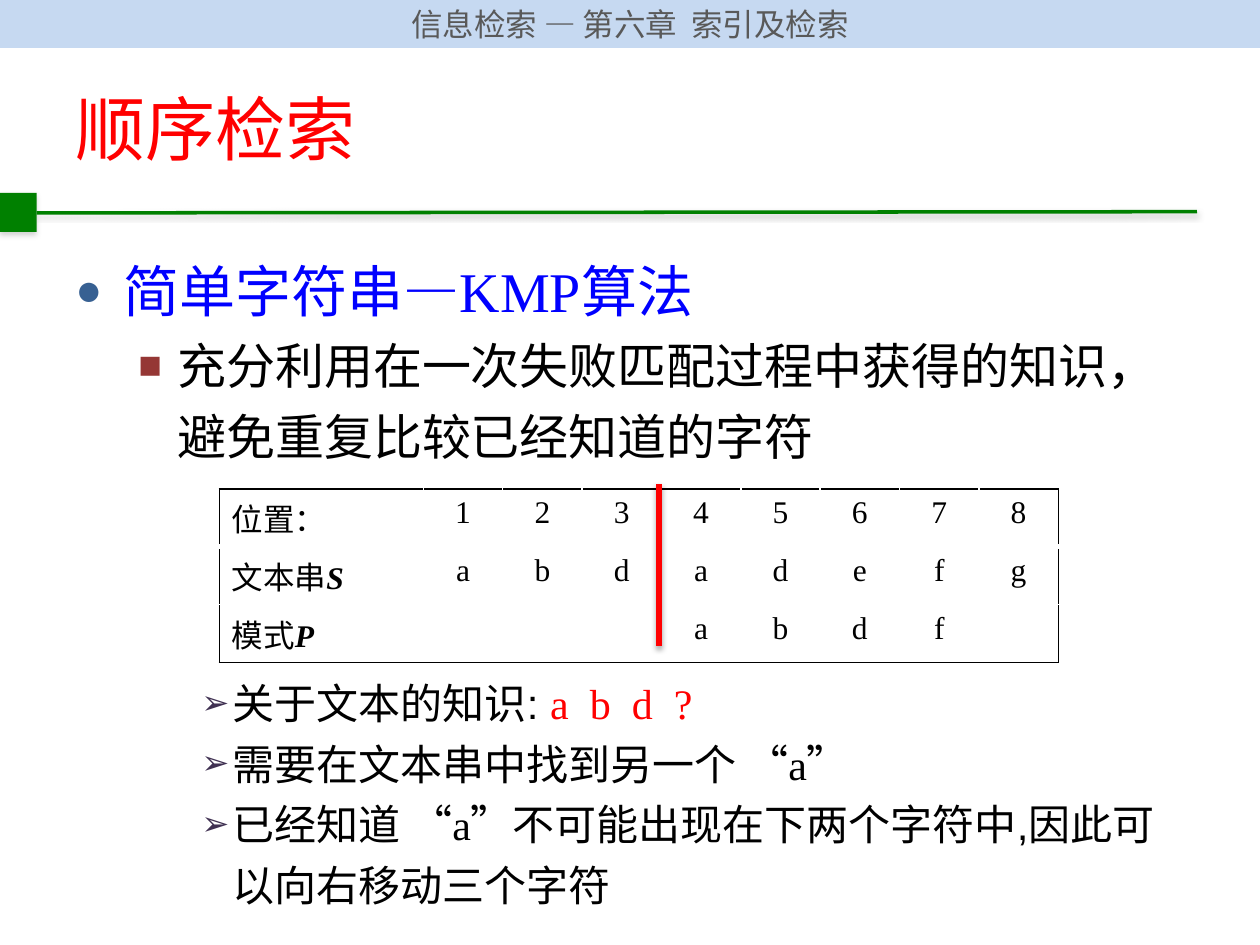
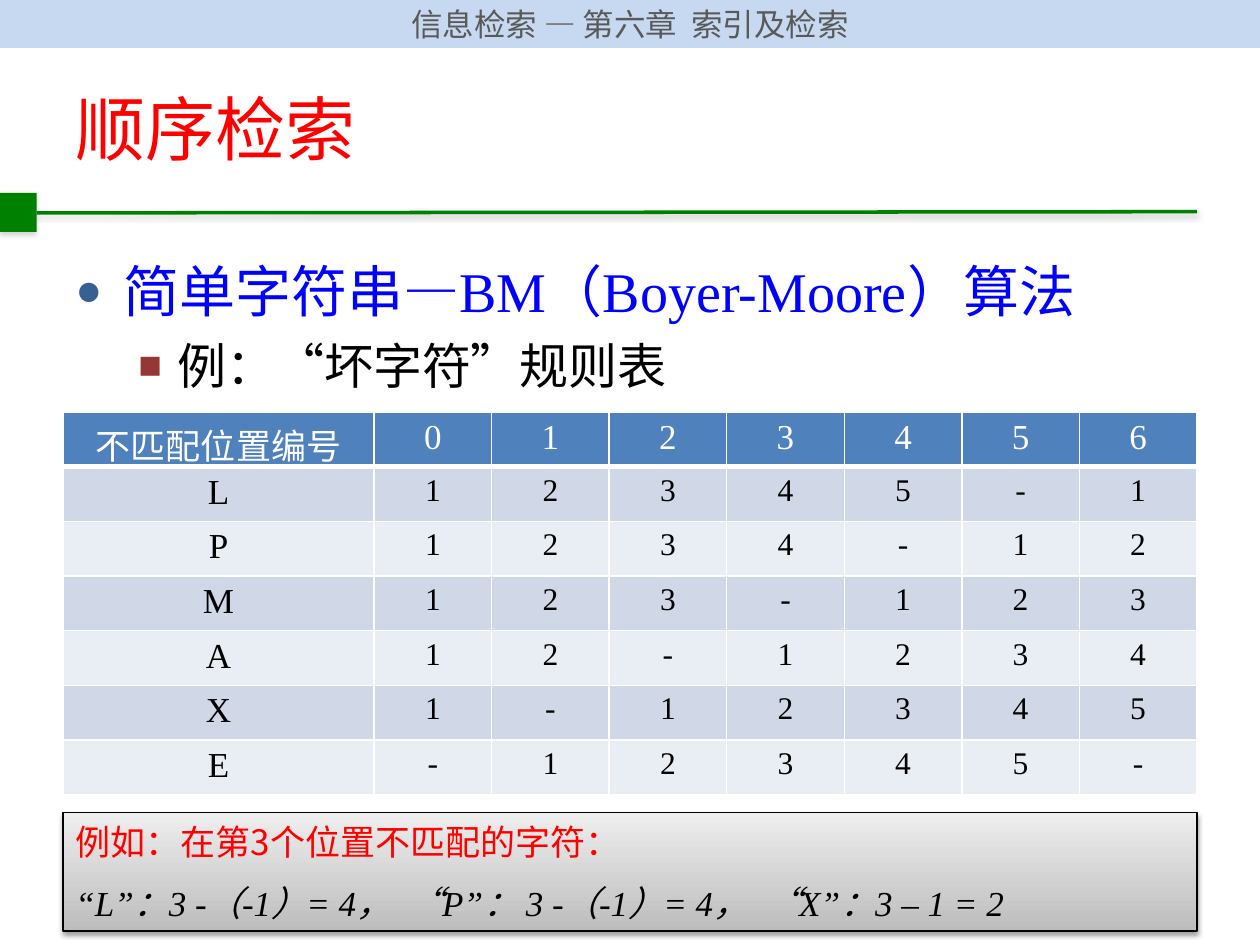
from lxml import etree
from pptx import Presentation
from pptx.dml.color import RGBColor
from pptx.enum.shapes import MSO_CONNECTOR, MSO_SHAPE
from pptx.enum.text import MSO_ANCHOR, PP_ALIGN
from pptx.oxml import parse_xml
from pptx.oxml.ns import qn
from pptx.util import Inches, Pt

RECT, LINE = MSO_SHAPE.RECTANGLE, MSO_CONNECTOR.STRAIGHT
MIDDLE = MSO_ANCHOR.MIDDLE
CENTER, JUST = PP_ALIGN.CENTER, PP_ALIGN.JUSTIFY
NS = 'xmlns:a="http://schemas.openxmlformats.org/drawingml/2006/main"'
CJK, ROMAN, SANS, HEAD = "Noto Sans CJK SC", "Times New Roman", "Arial", "Calibri"

HUES = {
    "band": "C6D9F1", "grey": "595959", "green": "008000", "shade": "808080",
    "red": "FF0000", "blue": "0000FF", "black": "000000", "white": "FFFFFF",
    "dot": "376092", "square": "953735", "arrow": "403152",
    "header": "4F81BD", "odd": "D0D8E8", "even": "E9EDF4",
    "dark": "BDBDBD", "light": "EEEEEE",
}
# level: indent, hanging width, bullet, bullet colour, text size
LEVELS = [
    (0.38, 0.38, "●", "dot", 32),
    (0.81, 0.31, "■", "square", 28),
    (1.25, 0.25, "➢", "arrow", 24),
]


def rgb(hue):
    return RGBColor.from_string(HUES[hue])


def inches(box):
    return [Inches(n) for n in box]


def write(para, text, size, font, hue="black", bold=False, italic=False):
    """Add one run, with Chinese glyphs always in the CJK font."""
    run = para.add_run()
    run.text = text
    face = run.font
    face.size, face.name, face.bold, face.italic = Pt(size), font, bold, italic
    face.color.rgb = rgb(hue)
    east = etree.Element(qn("a:ea"), typeface=CJK)
    run._r.rPr.find(qn("a:latin")).addnext(east)


def cast(shape, hue, alpha, dist=1.6):
    """Give a shape or connector a soft shadow straight below it."""
    props = shape._element.spPr
    for old in props.findall(qn("a:effectLst")):
        props.remove(old)
    props.append(parse_xml(
        f'<a:effectLst {NS}><a:outerShdw blurRad="{Pt(3.1)}" dist="{Pt(dist)}" '
        f'dir="5400000" rotWithShape="0"><a:srgbClr val="{HUES[hue]}">'
        f'<a:alpha val="{alpha}000"/></a:srgbClr></a:outerShdw></a:effectLst>'))


def block(slide, box, hue):
    shape = slide.shapes.add_shape(RECT, *inches(box))
    shape.shadow.inherit = False
    shape.fill.solid()
    shape.fill.fore_color.rgb = rgb(hue)
    shape.line.fill.background()
    return shape


def rule(slide, ends, hue, width, shade):
    line = slide.shapes.add_connector(LINE, *inches(ends))
    line.line.color.rgb = rgb(hue)
    line.line.width = Pt(width)
    cast(line, shade, 38)


def frame(deck, title):
    """Start a slide with the chapter band, title and green rule."""
    slide = deck.slides.add_slide(deck.slide_layouts[5])
    band = block(slide, (0, 0, 10, 0.38), "band")
    band.text_frame.vertical_anchor = MIDDLE
    para = band.text_frame.paragraphs[0]
    para.alignment = CENTER
    write(para, "信息检索 — 第六章  索引及检索", 18, CJK, "grey")
    cast(block(slide, (0, 1.53, 0.29, 0.31), "green"), "shade", 35, 1.8)
    rule(slide, (0.29, 1.69, 9.5, 1.68), "green", 2, "shade")

    head = slide.shapes.title
    head.left, head.top, head.width, head.height = inches((0.5, 0.56, 9, 0.91))
    head.text_frame.vertical_anchor = MIDDLE
    para = head.text_frame.paragraphs[0]
    para.alignment = JUST
    write(para, title, 40, CJK, "red")
    return slide


def outline(slide, box, items):
    """Place bulleted items, each a level and its (text, font, hue) runs."""
    text = slide.shapes.add_textbox(*inches(box)).text_frame
    text.word_wrap = True
    for i, (level, runs) in enumerate(items):
        para = text.add_paragraph() if i else text.paragraphs[0]
        para.line_spacing = 1.2
        left, hang, mark, hue, size = LEVELS[level]
        props = para._p.get_or_add_pPr()
        props.set("marL", str(Inches(left)))
        props.set("indent", str(-Inches(hang)))
        tint = etree.SubElement(props, qn("a:buClr"))
        etree.SubElement(tint, qn("a:srgbClr"), val=HUES[hue])
        etree.SubElement(props, qn("a:buSzPct"), val="80000")
        etree.SubElement(props, qn("a:buFont"), typeface=SANS)
        etree.SubElement(props, qn("a:buChar"), char=mark)
        for part in runs:
            write(para, part[0], size, *part[1:])


def edge(cell, **sides):
    """Draw cell borders: L, R, T and B each take a hue and a width."""
    props = cell._tc.get_or_add_tcPr()
    for side in "LRTB":
        hue, width = sides.get(side, ("white", 1))
        props.append(parse_xml(
            f'<a:ln{side} {NS} w="{Pt(width)}"><a:solidFill>'
            f'<a:srgbClr val="{HUES[hue]}"/></a:solidFill></a:ln{side}>'))


def grid(slide, box, first, tall, rows, cols):
    """Add a plain table whose columns after the first are equal."""
    table = slide.shapes.add_table(rows, cols, *inches(box)).table
    table.first_row = table.horz_banding = False
    for i, col in enumerate(table.columns):
        col.width = Inches((box[2] - first) / (cols - 1) if i else first)
    for row in table.rows:
        row.height = Inches(tall)
    return table


def match(slide, box):
    """Align the pattern with the text, split by a red line."""
    rows = [("位置：", "", "12345678"), ("文本串", "S", "abdadefg"),
            ("模式", "P", "   abdf ")]
    first, last = 1.62, len(rows) - 1
    table = grid(slide, box, first, box[3] / len(rows), len(rows), 9)
    ink = ("black", 1)
    for r, (label, name, marks) in enumerate(rows):
        for c in range(9):
            cell = table.cell(r, c)
            sides = {}
            if c == 0:
                sides["L"] = ink
            if c == 8:
                sides["R"] = ink
            if r == 0:
                sides.update(T=ink, B=("white", 3))
            if r == last:
                sides["B"] = ink
            edge(cell, **sides)
            cell.fill.background()
            para = cell.text_frame.paragraphs[0]
            if c == 0:
                write(para, label, 18, CJK)
                if name:
                    write(para, name, 18, ROMAN, bold=True, italic=True)
            elif marks[c - 1] != " ":
                para.alignment = CENTER
                write(para, marks[c - 1], 18, ROMAN)
    left, top, width, height = box
    cut = left + first + 3 * (width - first) / 8 - 0.02
    rule(slide, (cut, top - 0.04, cut, top + height - 0.13), "red", 3, "black")


def shifts(slide, box):
    """Fill the bad-character table."""
    rows = ["0123456", "12345-1", "1234-12", "123-123",
            "12-1234", "1-12345", "-12345-"]
    names = ["不匹配位置编号", *"LPMAXE"]
    table = grid(slide, box, 2.47, 0.32, len(rows), 8)
    for r, (name, marks) in enumerate(zip(names, rows)):
        fill = ("odd" if r % 2 else "even") if r else "header"
        for c, text in enumerate([name, *marks]):
            cell = table.cell(r, c)
            edge(cell, T=("white", 3 if r == 1 else 1),
                 B=("white", 1 if r else 3))
            cell.fill.solid()
            cell.fill.fore_color.rgb = rgb(fill)
            para = cell.text_frame.paragraphs[0]
            para.alignment = CENTER
            write(para, text, 18 if r and c else 20,
                  ROMAN if r or c else SANS, "black" if r else "white")


def sample(slide, box):
    shape = block(slide, box, "light")
    shape.fill.gradient()
    shape.fill.gradient_angle = 90
    for stop, hue in zip(shape.fill.gradient_stops, ("dark", "light")):
        stop.color.rgb = rgb(hue)
    shape.line.color.rgb = rgb("black")
    shape.line.width = Pt(0.75)
    cast(shape, "black", 38)
    text = shape.text_frame
    text.word_wrap, text.vertical_anchor = True, MIDDLE
    para = text.paragraphs[0]
    para.alignment = JUST
    write(para, "例如：在第3个位置不匹配的字符：", 20, CJK, "red")
    para = text.add_paragraph()
    para.alignment, para.space_before = JUST, Pt(11)
    write(para, "“L”：3 -（-1）= 4，  “P”： 3 -（-1）= 4，  “X”：3 – 1 = 2",
          20, ROMAN, italic=True)


def topic(name):
    return (0, [("简单字符串—", HEAD, "blue"), (name, ROMAN, "blue"),
                ("算法", HEAD, "blue")])


def kmp(deck):
    slide = frame(deck, "顺序检索")
    outline(slide, (0.5, 1.88, 9, 1.95), [
        topic("KMP"),
        (1, [("充分利用在一次失败匹配过程中获得的知识，避免重复比较已经知道的字符", CJK)]),
    ])
    outline(slide, (0.5, 5.25, 9, 2.03), [
        (2, [("关于文本的知识: ", SANS), ("a  b  d  ?", ROMAN, "red")]),
        (2, [("需要在文本串中找到另一个 ", SANS), ("“a”", ROMAN)]),
        (2, [("已经知道 ", SANS), ("“a”", ROMAN),
             ("不可能出现在下两个字符中,因此可以向右移动三个字符", SANS)]),
    ])
    match(slide, (1.74, 3.88, 6.66, 1.38))


def moore(deck):
    slide = frame(deck, "顺序检索")
    outline(slide, (0.5, 1.88, 9, 1.35), [
        topic("BM（Boyer-Moore）"),
        (1, [("例：“坏字符”规则表", CJK)]),
    ])
    shifts(slide, (0.5, 3.27, 9, 3.03))
    sample(slide, (0.5, 6.45, 9, 0.94))


def main():
    deck = Presentation()
    deck.slide_width, deck.slide_height = Inches(10), Inches(7.5)
    kmp(deck)
    moore(deck)
    deck.save("out.pptx")


if __name__ == "__main__":
    main()
